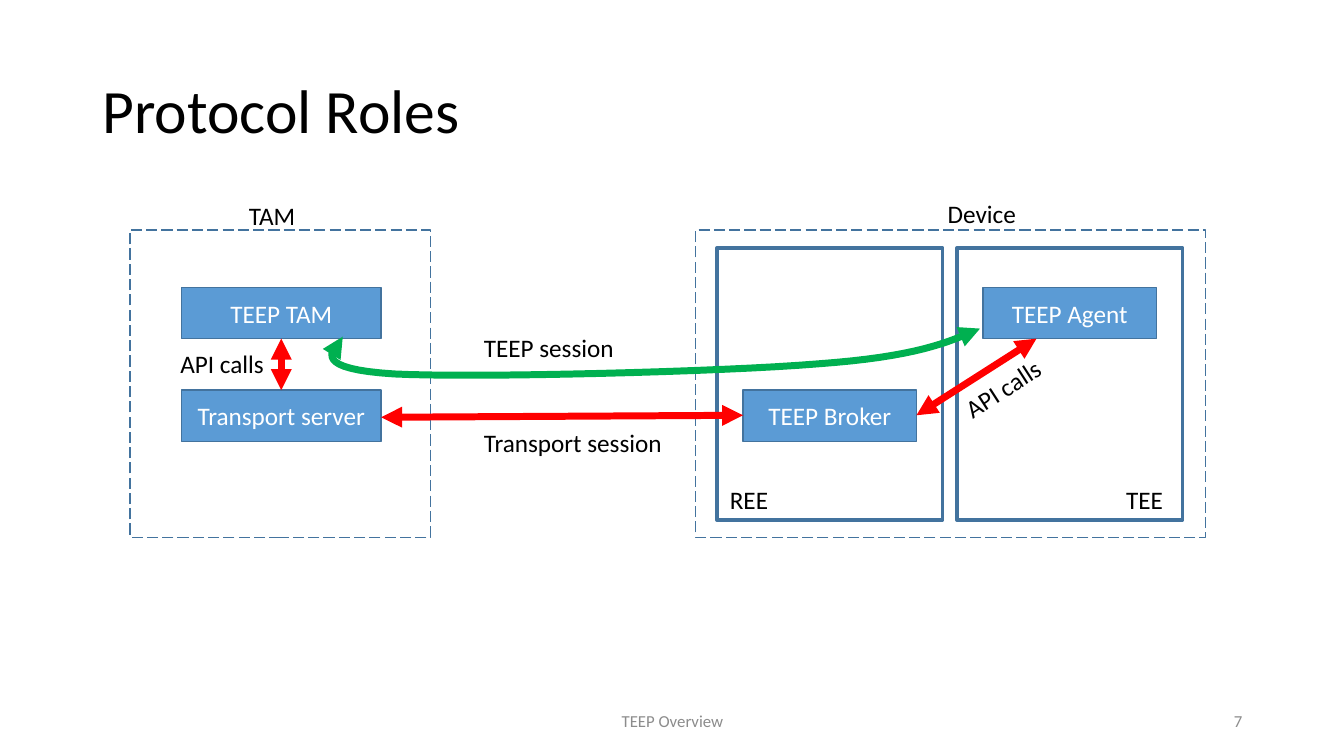
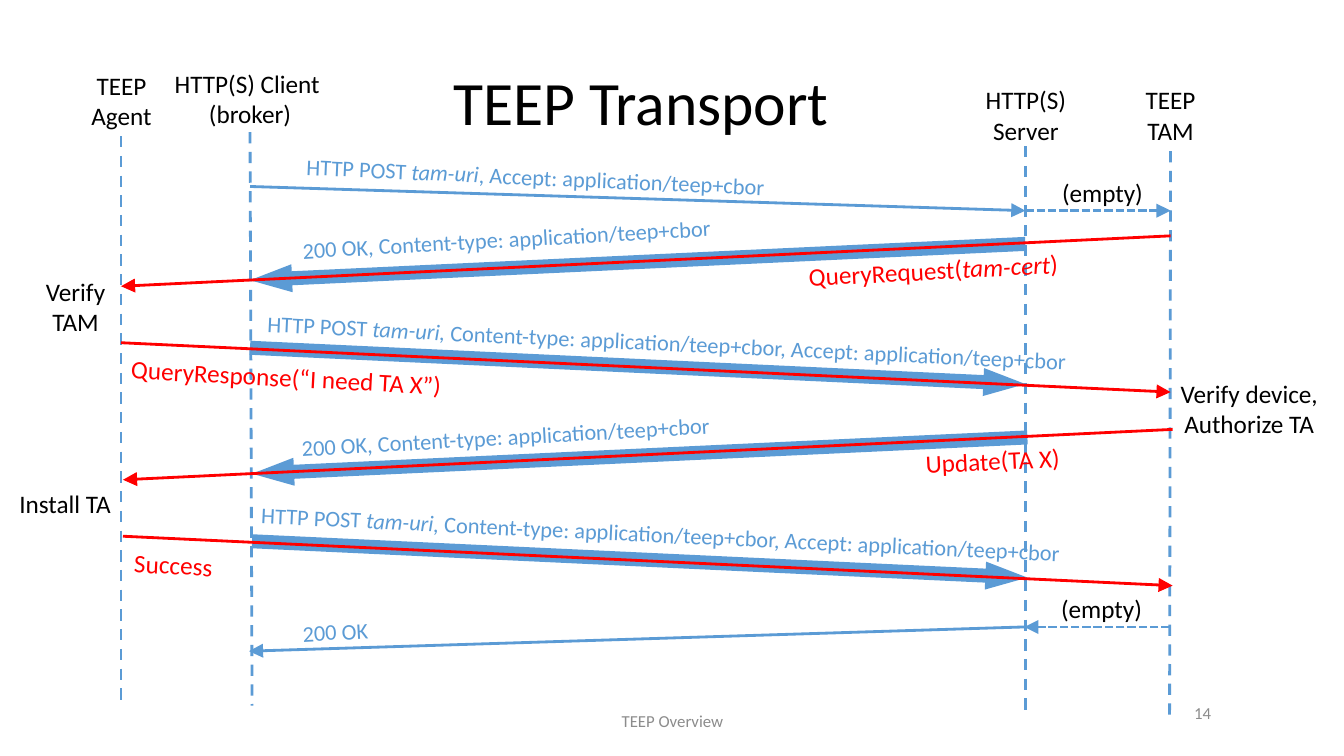
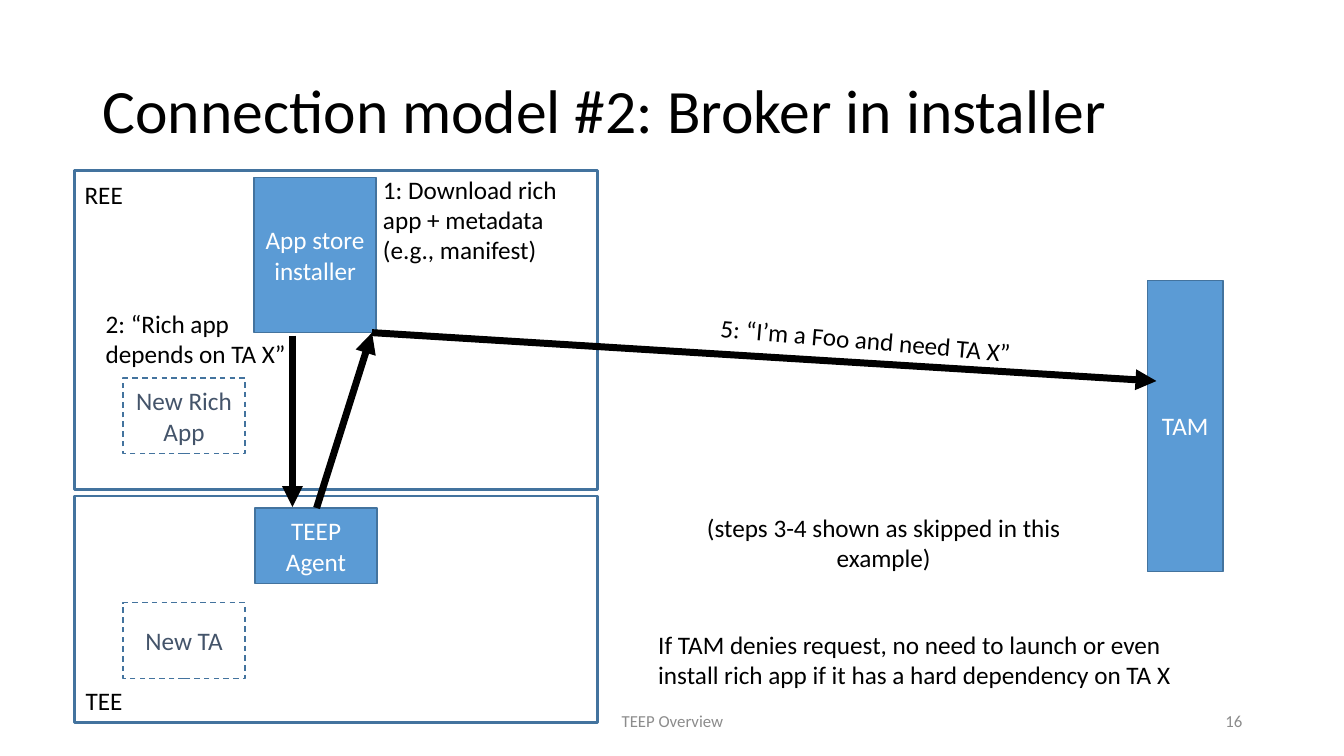
from lxml import etree
from pptx import Presentation
from pptx import util as u
from pptx.dml.color import RGBColor
from pptx.enum import dml, shapes, text
from pptx.oxml.ns import qn

BLUE, EDGE, SLATE = "5B9BD5", "43739E", "44546A"
RED, GREEN, BLACK, WHITE, GRAY = "FF0000", "00B050", "000000", "FFFFFF", "8C8C8C"
LEFT, CENTER, RIGHT = text.PP_ALIGN.LEFT, text.PP_ALIGN.CENTER, text.PP_ALIGN.RIGHT
DASH, LONG_DASH, SHORT_DASH = dml.MSO_LINE.DASH, dml.MSO_LINE.LONG_DASH, dml.MSO_LINE.SQUARE_DOT
color_of = RGBColor.from_string


def add_box(page, at, content="", size=18, color=BLACK, align=LEFT, wrap=True, middle=False,
            turn=0, fill=None, edge=0, dash=None, spacing=None):
    place = [u.Inches(length) for length in at]
    if edge:
        box = page.shapes.add_shape(shapes.MSO_SHAPE.RECTANGLE, *place)
        box.shadow.inherit = False
        box.line.color.rgb = color_of(EDGE)
        box.line.width = u.Pt(edge)
        box.line.dash_style = dash
        if fill:
            box.fill.solid()
            box.fill.fore_color.rgb = color_of(fill)
        else:
            box.fill.background()
    else:
        box = page.shapes.add_textbox(*place)
    box.rotation = turn
    frame = box.text_frame
    frame.word_wrap = wrap
    if edge or middle:
        frame.vertical_anchor = text.MSO_ANCHOR.MIDDLE
    else:
        frame.auto_size = text.MSO_AUTO_SIZE.SHAPE_TO_FIT_TEXT
    plain, *others = content.split("*")
    frame.text = plain
    for index, part in enumerate(others):
        span = frame.paragraphs[0].add_run()
        span.text = part
        span.font.italic = index % 2 == 0
    for para in frame.paragraphs:
        para.alignment = align
        para.line_spacing = spacing
        para.font.name = "Calibri"
        para.font.size = u.Pt(size)
        para.font.color.rgb = color_of(color)


def add_line(page, points, color, width, dash=None, ends=("tailEnd",), head=("med", "med")):
    points = [(u.Inches(x), u.Inches(y)) for x, y in points]
    if len(points) == 2:
        line = page.shapes.add_connector(shapes.MSO_CONNECTOR.STRAIGHT, *points[0], *points[1])
    else:
        builder = page.shapes.build_freeform(*points[0])
        builder.add_line_segments(points[1:], close=False)
        line = builder.convert_to_shape()
        line.fill.background()
    line.line.color.rgb = color_of(color)
    line.line.width = u.Pt(width)
    line.line.dash_style = dash
    properties = line.element.spPr
    for end in ends:
        etree.SubElement(properties.find(qn("a:ln")), qn("a:" + end),
                         type="triangle", w=head[0], len=head[1])
    etree.SubElement(properties, qn("a:effectLst"))


deck = Presentation()
deck.slide_width, deck.slide_height = u.Inches(13.33), u.Inches(7.5)
pages = []
for title, title_at, align, number, number_at in [
    ("Protocol Roles", (0.92, 0.4), LEFT, "7", (9.42, 6.95)),
    ("TEEP Transport", (0.61, 0.32), CENTER, "14", (9.11, 6.87)),
    ("Connection model #2: Broker in installer", (0.92, 0.4), LEFT, "16", (9.42, 6.95)),
]:
    page = deck.slides.add_slide(deck.slide_layouts[6])
    add_box(page, (*title_at, 11.5, 1.45), title, 44, align=align, middle=True, spacing=0.9)
    add_box(page, (4.42, 6.95, 4.5, 0.4), "TEEP Overview", 12, GRAY, CENTER, middle=True)
    add_box(page, (*number_at, 3, 0.4), number, 12, GRAY, RIGHT, middle=True)
    pages.append(page)
roles, transport, installer = pages

for left, width in [(1.29, 2.98), (6.9, 5.06)]:
    add_box(roles, (left, 2.28, width, 3.05), edge=1, dash=LONG_DASH)
for left in (7.11, 9.49):
    add_box(roles, (left, 2.46, 2.24, 2.7), edge=2.5)
for left, top, width, name in [
    (1.8, 2.85, 1.98, "TEEP TAM"),
    (1.8, 3.87, 1.98, "Transport server"),
    (7.37, 3.87, 1.72, "TEEP Broker"),
    (9.75, 2.85, 1.72, "TEEP Agent"),
]:
    add_box(roles, (left, top, width, 0.51), name, color=WHITE, align=CENTER, fill=BLUE, edge=1)
for left, top, width, label, turn in [
    (2.37, 1.94, 0.67, "TAM", 0),
    (9.3, 1.92, 0.89, "Device", 0),
    (7.14, 4.76, 0.58, "REE", 0),
    (11.07, 4.76, 0.57, "TEE", 0),
    (4.7, 3.25, 1.5, "TEEP session", 0),
    (4.7, 4.19, 1.99, "Transport session", 0),
    (1.69, 3.41, 1.04, "API calls", 0),
    (9.43, 3.65, 1.04, "API calls", 327.2),
]:
    add_box(roles, (left, top, width, 0.4), label, wrap=False, turn=turn)

both_ends = ("headEnd", "tailEnd")
for points in [
    [(3.78, 4.14), (7.37, 4.12)],
    [(9.09, 4.12), (10.28, 3.36)],
    [(2.79, 3.87), (2.79, 3.36)],
]:
    add_line(roles, points, RED, 5, ends=both_ends)

session = [(3.4, 3.34)]
steps = 16
for bend in [
    [(3.26, 3.5), (3.12, 3.66), (3.91, 3.71)],
    [(4.69, 3.75), (7.15, 3.69), (8.11, 3.61)],
    [(9.08, 3.54), (9.4, 3.4), (9.72, 3.26)],
]:
    controls = [session[-1], *bend]
    for step in range(1, steps + 1):
        t = step / steps
        weights = ((1 - t) ** 3, 3 * t * (1 - t) ** 2, 3 * t * t * (1 - t), t ** 3)
        session.append(tuple(sum(w * point[axis] for w, point in zip(weights, controls))
                             for axis in (0, 1)))
add_line(roles, session, GREEN, 5, ends=both_ends)

for points in [
    [(1.2, 1.35), (1.2, 7)],
    [(2.48, 1.31), (2.5, 7)],
    [(10.17, 1.45), (10.17, 7.11)],
    [(11.61, 1.5), (11.6, 7.11)],
]:
    add_line(transport, points, BLUE, 2, DASH, ends=())
large, narrow = ("lg", "lg"), ("sm", "med")
for points, dash in [
    ([(2.48, 1.85), (10.17, 2.09)], None),
    ([(10.17, 2.09), (11.61, 2.09)], SHORT_DASH),
    ([(11.6, 6.22), (10.16, 6.22)], SHORT_DASH),
    ([(10.16, 6.22), (2.47, 6.46)], None),
]:
    add_line(transport, points, BLUE, 2, dash, head=large)
for right, down in [(0, 0), (0.02, 1.92)]:
    for points, color, width, head in [
        ([(10.17, 2.42), (2.48, 2.78)], BLUE, 10, narrow),
        ([(2.48, 3.45), (10.17, 3.81)], BLUE, 10, narrow),
        ([(11.61, 2.34), (1.2, 2.84)], RED, 2, large),
        ([(1.2, 3.4), (11.61, 3.89)], RED, 2, large),
    ]:
        add_line(transport, [(x + right, y + down) for x, y in points], color, width, head=head)

post = "HTTP POST *tam-uri, *Content-type: application/teep+cbor, Accept: application/teep+cbor"
reply = "200 OK, Content-type: application/teep+cbor"
for left, top, width, label, turn in [
    (2.94, 1.58, 5.09, "HTTP POST *tam-uri*, Accept: application/teep+cbor", 2.6),
    (2.9, 2.16, 5.14, reply, 356.75),
    (2.55, 3.24, 9.04, post, 2.8),
    (2.89, 4.11, 5.5, reply, 356.75),
    (2.49, 5.12, 8.18, post, 2.8),
    (2.9, 6, 3.75, "200 OK", 356.75),
]:
    add_box(transport, (left, top, width, 0.37), label, 16, BLUE, turn=turn)
for left, top, width, message, turn in [
    (7.92, 2.45, 3.71, "QueryRequest(*tam-cert*)", 357),
    (1.2, 3.58, 4.75, "QueryResponse(“I need TA X”)", 3),
    (9.08, 4.34, 2.53, "Update(TA X)", 357),
    (1.23, 5.5, 4.75, "Success", 3),
]:
    add_box(transport, (left, top, width, 0.4), message, color=RED, turn=turn)
for left, top, width, height, label in [
    (0.8, 0.65, 0.81, 0.71, "TEEP\vAgent"),
    (1.62, 0.63, 1.72, 0.71, "HTTP(S) Client \n(broker)"),
    (9.67, 0.79, 1.01, 0.71, "HTTP(S)\vServer"),
    (11.26, 0.79, 0.7, 0.71, "TEEP\vTAM"),
    (10.43, 1.71, 1.01, 0.4, "(empty)"),
    (0.35, 2.69, 0.8, 0.71, "Verify\vTAM"),
    (11.6, 3.7, 1.58, 0.71, "Verify device,\nAuthorize TA"),
    (0, 4.8, 1.29, 0.4, "Install TA"),
    (10.42, 5.84, 1.01, 0.4, "(empty)"),
]:
    add_box(transport, (left, top, width, height), label, align=CENTER, wrap=False)

for top, height in [(1.69, 3.17), (4.92, 2.25)]:
    add_box(installer, (0.74, top, 5.19, height), edge=2)
for at, name in [
    ((11.38, 2.78, 0.75, 2.89), "TAM"),
    ((2.52, 1.76, 1.21, 1.54), "App store installer"),
    ((2.53, 5.04, 1.21, 0.75), "TEEP Agent"),
]:
    add_box(installer, at, name, color=WHITE, align=CENTER, fill=BLUE, edge=1)
for top, name in [(3.75, "New Rich App"), (5.98, "New TA")]:
    add_box(installer, (1.22, top, 1.21, 0.75), name, color=SLATE, align=CENTER, edge=1, dash=DASH)
for points in [
    [(2.9, 3.33), (2.9, 5.03)],
    [(3.69, 3.3), (11.47, 3.78)],
    [(3.14, 5.04), (3.69, 3.3)],
]:
    add_line(installer, points, BLACK, 5)
for at, label in [
    ((0.74, 1.73, 0.58, 0.4), "REE"),
    ((0.75, 6.75, 0.57, 0.4), "TEE"),
    ((3.7, 1.68, 1.95, 1.01), "1: Download rich\vapp + metadata\v(e.g., manifest)"),
    ((0.95, 3.01, 2.01, 0.71), "2: “Rich app\vdepends on TA X”"),
    ((6.43, 6.19, 5.35, 0.71), "If TAM denies request, no need to launch or even\v"
                               "install rich app if it has a hard dependency on TA X"),
]:
    add_box(installer, at, label, wrap=False)
add_box(installer, (6.54, 3.17, 4.09, 0.4), "5: “I’m a Foo and need TA X”", align=CENTER, turn=4.9)
add_box(installer, (6.43, 5.03, 4.67, 0.71), "(steps 3-4 shown as skipped in this example)",
        align=CENTER)

deck.save("out.pptx")
